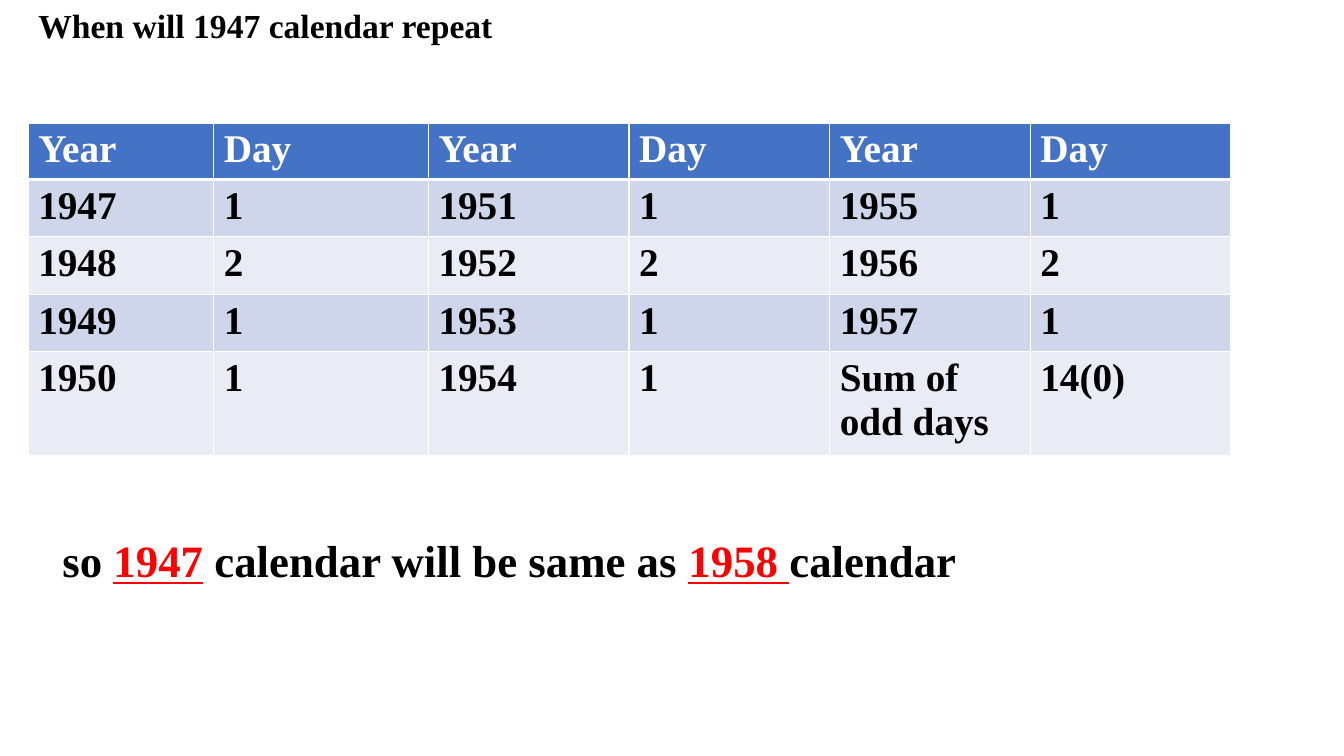
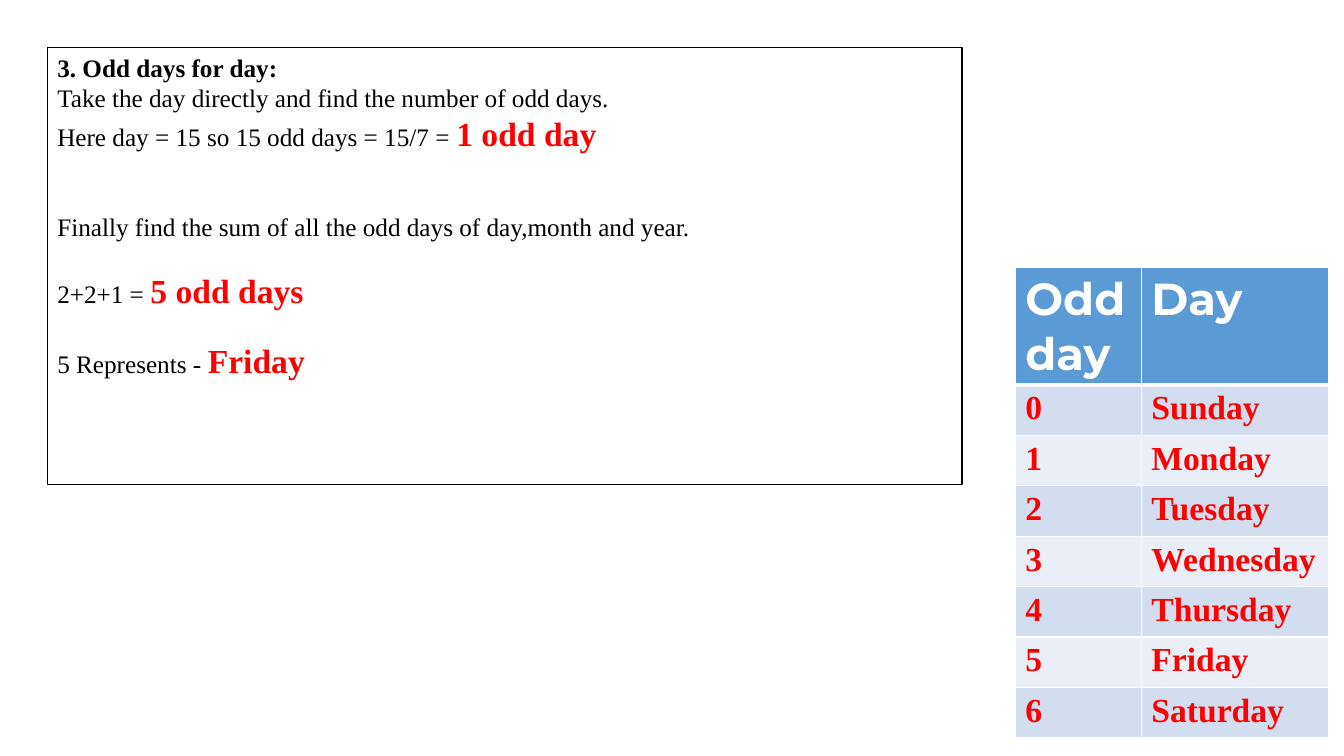
from dataclasses import dataclass

from lxml import etree
from pptx import Presentation
from pptx.dml.color import RGBColor
from pptx.enum.shapes import MSO_SHAPE
from pptx.enum.text import MSO_ANCHOR, MSO_AUTO_SIZE, PP_ALIGN
from pptx.oxml.ns import qn
from pptx.util import Inches, Pt

RECTANGLE = MSO_SHAPE.RECTANGLE
TOP = MSO_ANCHOR.TOP
LEFT = PP_ALIGN.LEFT
NO_AUTOFIT = MSO_AUTO_SIZE.NONE
TITLE_ONLY, BLANK = 5, 6  # layouts of the default template


@dataclass(frozen=True)
class Theme:
    black: str = "000000"
    white: str = "FFFFFF"
    red: str = "FF0000"
    # header fill, then the two alternating row fills
    year_bands: tuple = ("4472C4", "CFD5EA", "E9EBF5")
    day_bands: tuple = ("5B9BD5", "D2DEEF", "EAEFF7")
    serif: str = "Times New Roman"
    sans: str = "Montserrat"
    body: int = 18
    title: int = 24
    table: int = 28
    large: int = 32


THEME = Theme()


def add_span(para, text, size, color=THEME.black, bold=True, underline=False, font=THEME.serif):
    para.alignment = LEFT
    span = para.add_run()
    span.text = text
    span.font.name = font
    span.font.size = Pt(size)
    span.font.bold = bold
    span.font.underline = underline
    span.font.color.rgb = RGBColor.from_string(color)


def add_banded_table(page, left, top, widths, heights, rows, bands, header_style, body_style):
    frame = page.shapes.add_table(
        len(rows), len(widths), Inches(left), Inches(top),
        Inches(sum(widths)), Inches(sum(heights)))
    table = frame.table
    for column, width in zip(table.columns, widths):
        column.width = Inches(width)
    for row, height in zip(table.rows, heights):
        row.height = Inches(height)

    for row_index, values in enumerate(rows):
        fill = bands[0] if row_index == 0 else bands[1 + (row_index - 1) % 2]
        style = header_style if row_index == 0 else body_style
        for column_index, value in enumerate(values):
            cell = table.cell(row_index, column_index)
            # White grid, with a heavier rule under the header
            properties = cell._tc.get_or_add_tcPr()
            for side in ("lnL", "lnR", "lnT", "lnB"):
                heavy = (row_index, side) in ((0, "lnB"), (1, "lnT"))
                border = etree.SubElement(properties, qn(f"a:{side}"), w=str(Pt(3 if heavy else 1)))
                solid = etree.SubElement(border, qn("a:solidFill"))
                etree.SubElement(solid, qn("a:srgbClr"), val=THEME.white)
            cell.fill.solid()
            cell.fill.fore_color.rgb = RGBColor.from_string(fill)
            add_span(cell.text_frame.paragraphs[0], value, **style)


deck = Presentation()
deck.slide_width = Inches(13.33)
deck.slide_height = Inches(7.5)

# Slide 1: title
page = deck.slides.add_slide(deck.slide_layouts[TITLE_ONLY])
title = page.shapes.title
title.left, title.top = Inches(0.28), Inches(0)
title.width, title.height = Inches(12.87), Inches(0.5)
title.text_frame.auto_size = NO_AUTOFIT
title.text_frame.vertical_anchor = TOP
add_span(title.text_frame.paragraphs[0], "When will 1947 calendar repeat", THEME.title)

# Slide 1: odd days of each year
year_rows = [
    ("Year", "Day") * 3,
    ("1947", "1", "1951", "1", "1955", "1"),
    ("1948", "2", "1952", "2", "1956", "2"),
    ("1949", "1", "1953", "1", "1957", "1"),
    ("1950", "1", "1954", "1", "Sum of odd days", "14(0)"),
]
add_banded_table(
    page, 0.28, 1.22, [1.84, 2.13] + [1.99] * 4, [0.56] + [0.57] * 3 + [1.03],
    year_rows, THEME.year_bands,
    header_style={"size": THEME.table, "color": THEME.white},
    body_style={"size": THEME.table})

# Slide 1: conclusion
box = page.shapes.add_textbox(Inches(0.52), Inches(5.24), Inches(9.15), Inches(0.64))
box.text_frame.word_wrap = True
para = box.text_frame.paragraphs[0]
for text, marked in [("so ", False), ("1947", True), (" calendar will be same as ", False),
                     ("1958 ", True), ("calendar", False)]:
    add_span(para, text, THEME.large, THEME.red if marked else THEME.black, underline=marked)

# Slide 2: key from odd days to weekdays
page = deck.slides.add_slide(deck.slide_layouts[BLANK])
weekdays = ["Sunday", "Monday", "Tuesday", "Wednesday", "Thursday", "Friday", "Saturday"]
day_rows = [("Odd day", "Day")] + [(str(number), day) for number, day in enumerate(weekdays)]
add_banded_table(
    page, 10.07, 2.65, [1.25, 1.86], [1.16] + [0.5] * len(weekdays),
    day_rows, THEME.day_bands,
    header_style={"size": THEME.large, "color": THEME.white, "font": THEME.sans},
    body_style={"size": THEME.title, "color": THEME.red})

# Slide 2: worked example
box = page.shapes.add_shape(RECTANGLE, Inches(0.47), Inches(0.47), Inches(9.07), Inches(4.34))
box.shadow.inherit = False
box.fill.solid()
box.fill.fore_color.rgb = RGBColor.from_string(THEME.white)
box.line.color.rgb = RGBColor.from_string(THEME.black)
box.line.width = Pt(1)
frame = box.text_frame
frame.word_wrap = True
frame.vertical_anchor = TOP
add_span(frame.paragraphs[0], "3. Odd days for day:", THEME.body)

# Each step: text, highlighted result, space before in points
steps = [
    ("Take the day directly and find the number of odd days.", "", 0),
    ("Here day = 15 so 15 odd days = 15/7 = ", "1 odd day", 0),
    ("Finally find the sum of all the odd days of day,month and year.", "", 41.4),
    ("2+2+1 = ", "5 odd days", 20.7),
    ("5 Represents - ", "Friday", 20.7),
]
for text, result, gap in steps:
    para = frame.add_paragraph()
    para.space_before = Pt(gap)
    add_span(para, text, THEME.body, bold=False)
    if result:
        add_span(para, result, THEME.title, THEME.red)

deck.save("out.pptx")
